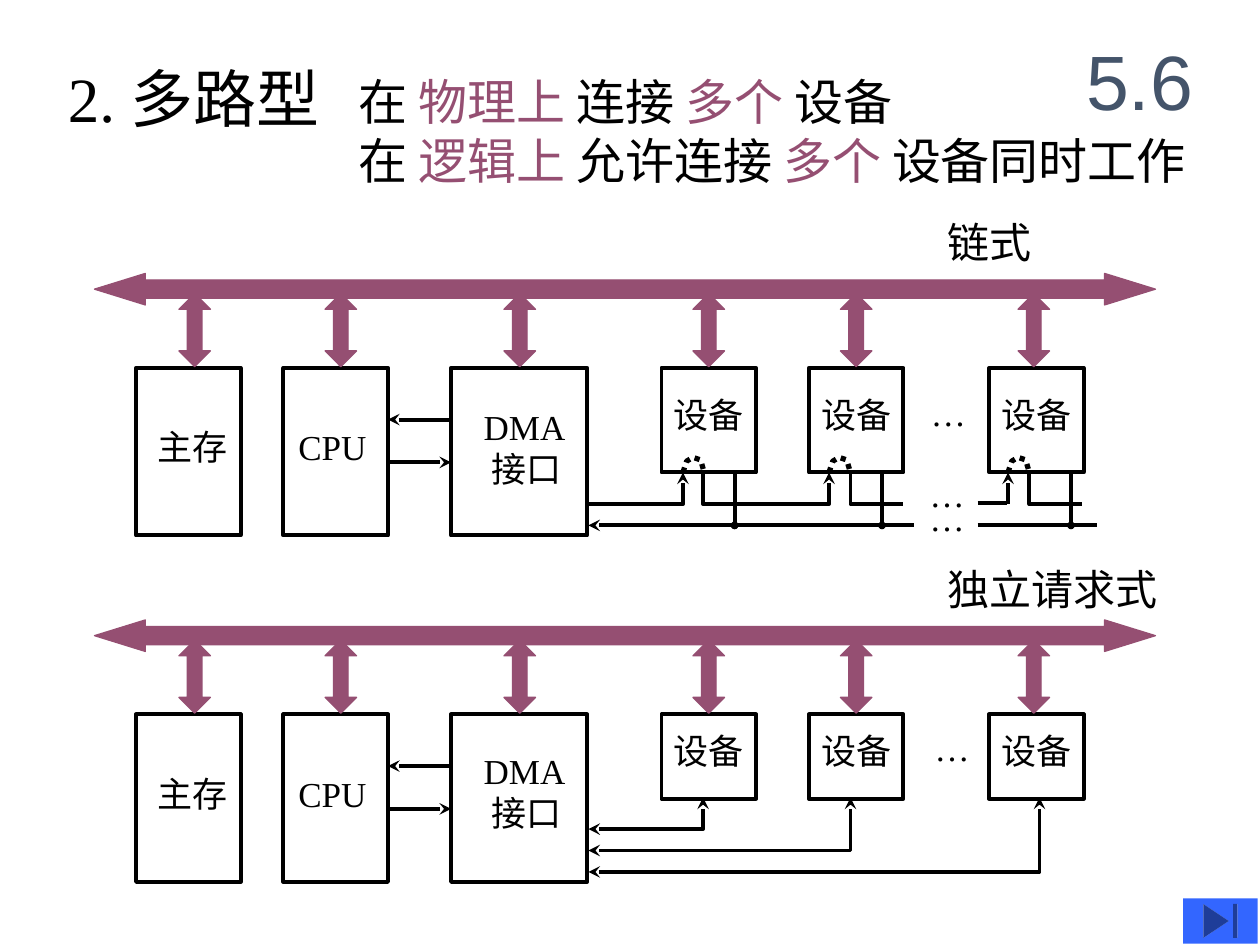
from lxml import etree
from pptx import Presentation
from pptx.dml.color import RGBColor
from pptx.enum.dml import MSO_LINE
from pptx.enum.shapes import MSO_CONNECTOR, MSO_SHAPE
from pptx.enum.text import MSO_ANCHOR, MSO_AUTO_SIZE, PP_ALIGN
from pptx.oxml.ns import qn
from pptx.util import Inches, Pt

RECT = MSO_SHAPE.RECTANGLE
BUS = MSO_SHAPE.LEFT_RIGHT_ARROW
BUS_LINK = MSO_SHAPE.UP_DOWN_ARROW
END_BUTTON = MSO_SHAPE.ACTION_BUTTON_END
STRAIGHT = MSO_CONNECTOR.STRAIGHT
DOTTED = MSO_LINE.ROUND_DOT
FIXED = MSO_AUTO_SIZE.NONE
MIDDLE = MSO_ANCHOR.MIDDLE
CENTER = PP_ALIGN.CENTER

BLACK, PLUM, SLATE, BLUE = "000000", "954F72", "44546A", "3366FF"
SERIF, SANS = "Times New Roman", "Arial"

rgb = RGBColor.from_string
prs = Presentation()
prs.slide_width, prs.slide_height = Inches(10), Inches(7.5)
shapes = prs.slides.add_slide(prs.slide_layouts[6]).shapes


def add_text(x, y, w, h, lines, size=20, font=SERIF):
    """Add a text box; each line is a list of (text, colour) runs."""
    tb = shapes.add_textbox(Inches(x), Inches(y), Inches(w), Inches(h))
    tf = tb.text_frame
    tf.word_wrap = True
    tf.auto_size = FIXED
    tf.margin_right = 0  # room for labels as wide as their box
    for i, line in enumerate(lines):
        p = tf.paragraphs[0] if i == 0 else tf.add_paragraph()
        for content, color in line:
            r = p.add_run()
            r.text = content
            r.font.size = Pt(size)
            r.font.name = font
            r.font.color.rgb = rgb(color)
    return tf


def add_wire(points, head=None, tail=None, width=2.25, dash=None):
    """Draw a connector for two points, or an open outline for more."""
    pts = [(Inches(x), Inches(y)) for x, y in points]
    straight = len(pts) == 2
    if straight:
        s = shapes.add_connector(STRAIGHT, *pts[0], *pts[1])
    else:
        builder = shapes.build_freeform(*pts[0])
        builder.add_line_segments(pts[1:], close=False)
        s = builder.convert_to_shape()
        s.fill.background()
        s.shadow.inherit = False
    s.line.color.rgb = rgb(BLACK)
    s.line.width = Pt(width)
    if dash:
        s.line.dash_style = dash
    spPr = s.element.spPr
    ln = spPr.find(qn("a:ln"))
    for tag, kind in (("a:headEnd", head), ("a:tailEnd", tail)):
        if kind:
            size = "sm" if kind == "oval" else "med"
            etree.SubElement(ln, qn(tag), type=kind, w=size, len=size)
    if straight:
        etree.SubElement(spPr, qn("a:effectLst"))


# Heading
add_text(0.44, 0.42, 2.32, 0.7, [[("2. 多路型", BLACK)]], 36)
add_text(2.75, 0.52, 7.25, 1.04, [
    [("在 ", BLACK), ("物理上 ", PLUM), ("连接 ", BLACK), ("多个 ", PLUM),
     ("设备", BLACK)],
    [("在 ", BLACK), ("逻辑上 ", PLUM), ("允许连接 ", BLACK), ("多个 ", PLUM),
     ("设备同时工作", BLACK)],
], 28)
tf = add_text(8.42, 0.17, 1.25, 0.92, [[("5.6", SLATE)]], 44, SANS)
tf.margin_right = Inches(0.1)
tf.vertical_anchor = MIDDLE
tf.paragraphs[0].alignment = CENTER

# Both diagrams: bus, units, devices and the CPU-DMA wires
DEVICES = (5.25, 6.42, 7.85)
LINKS = (1.42, 2.58, 4, 5.5, 6.67, 8.08)
# title, title width, bus top, device height, label offsets, ellipsis place
DIAGRAMS = (
    ("链式", 1.33, 2.17, 0.83, 0.15, 0.25, (7.29, 0.14)),
    ("独立请求式", 2.5, 4.92, 0.67, 0.07, 0.23, (7.32, 0.05)),
)
for title, title_w, bus, dev_h, dev_dy, dma_dy, (dots_x, dots_dy) in DIAGRAMS:
    top = bus + 0.75
    outlines = [(RECT, x, top, w, 1.33, ())
                for x, w in ((1.08, 0.83), (2.25, 0.83), (3.58, 1.08))]
    outlines += [(RECT, x, top, 0.75, dev_h, ()) for x in DEVICES]
    outlines += [(BUS, 0.75, bus, 8.42, 0.25, (0.583, 1.613))]
    outlines += [(BUS_LINK, x, bus + 0.16, 0.25, 0.58, (0.5, 0.464))
                 for x in LINKS]
    for kind, x, y, w, h, adjustments in outlines:
        s = shapes.add_shape(kind, Inches(x), Inches(y), Inches(w), Inches(h))
        s.shadow.inherit = False
        for i, value in enumerate(adjustments):
            s.adjustments[i] = value
        if kind == RECT:
            s.fill.background()
        else:
            s.fill.solid()
            s.fill.fore_color.rgb = rgb(PLUM)
        s.line.color.rgb = rgb(BLACK if kind == RECT else PLUM)
        s.line.width = Pt(2.25 if kind == RECT else 0.75)

    add_text(7.42, bus - 0.5, title_w, 0.5, [[(title, BLACK)]], 24)
    add_text(1.15, top + 0.41, 0.75, 0.44, [[("主存", BLACK)]])
    add_text(2.27, top + 0.41, 0.74, 0.44, [[("CPU", BLACK)]])
    add_text(3.74, top + dma_dy, 0.85, 0.77,
             [[("DMA", BLACK)], [(" 接口", BLACK)]])
    for x in DEVICES:
        add_text(x, top + dev_dy, 0.75, 0.44, [[("设备", BLACK)]])
    add_text(dots_x, top + dots_dy, 0.48, 0.44, [[("…", BLACK)]])

    add_wire([(3.08, top + 0.75), (3.58, top + 0.75)], tail="stealth")
    add_wire([(3.58, top + 0.41), (3.08, top + 0.41)], tail="stealth")

# Daisy chain: request passes from device to device, shared return line
BOTTOM, CHAIN, RETURN = 3.75, 4, 4.17
add_wire([(4.67, CHAIN), (5.42, CHAIN), (5.42, BOTTOM)], tail="stealth")
add_wire([(5.58, BOTTOM), (5.58, CHAIN), (6.58, CHAIN), (6.58, BOTTOM)],
         tail="stealth")
for x in (6.75, 8.17):
    add_wire([(x, BOTTOM), (x, CHAIN), (x + 0.42, CHAIN)])
add_wire([(7.76, 3.99), (7.99, 3.99)])
add_wire([(8, CHAIN), (8, BOTTOM)], tail="stealth")
add_wire([(7.25, RETURN), (4.67, RETURN)], tail="stealth")
add_wire([(7.76, RETURN), (8.71, RETURN)])
for x in (5.83, 7, 8.5):
    add_wire([(x, BOTTOM), (x, RETURN)], tail="oval")
ARC = ((0, 0), (0.03, -0.09), (0.08, -0.12), (0.14, -0.1), (0.17, 0))
for x in (5.42, 6.58, 8):
    add_wire([(x + dx, BOTTOM + dy) for dx, dy in ARC], width=3, dash=DOTTED)
for y in (3.7, 3.89):
    add_text(7.28, y, 1.5, 0.44, [[("…", BLACK)]])

# Independent requests: one two-way wire per device
for x, y in ((5.58, 6.58), (6.75, 6.75), (8.25, 6.92)):
    add_wire([(4.67, y), (x, y), (x, 6.33)], head="stealth", tail="stealth")

s = shapes.add_shape(END_BUTTON, Inches(9.39), Inches(7.13),
                     Inches(0.59), Inches(0.36))
s.shadow.inherit = False
s.fill.solid()
s.fill.fore_color.rgb = rgb(BLUE)
s.line.fill.background()

prs.save("out.pptx")
